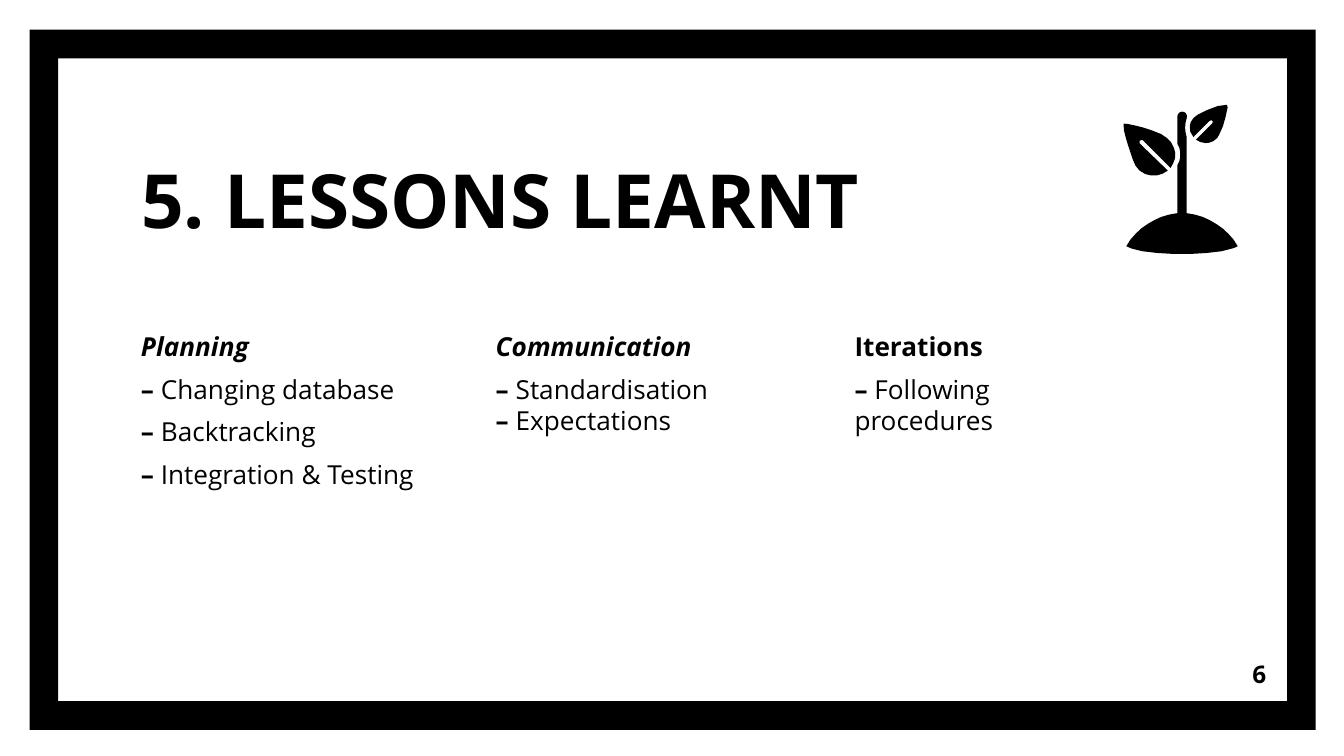
from pptx import Presentation
from pptx.dml.color import RGBColor
from pptx.enum.shapes import MSO_SHAPE
from pptx.enum.text import MSO_ANCHOR, MSO_AUTO_SIZE, PP_ALIGN
from pptx.util import Inches, Pt

FRAME = MSO_SHAPE.FRAME
TOP, MIDDLE, BOTTOM = MSO_ANCHOR.TOP, MSO_ANCHOR.MIDDLE, MSO_ANCHOR.BOTTOM
LEFT, RIGHT = PP_ALIGN.LEFT, PP_ALIGN.RIGHT
NO_AUTOFIT = MSO_AUTO_SIZE.NONE

COLORS = {"ink": "000000", "paper": "FFFFFF"}
FONT = "Open Sans"
TITLE_ONLY = 5

# Box, heading, whether it is italic, and paragraphs of dashed lines
LESSONS = [
    ((0.95, 2.36, 2.55, 1.28), "Planning", True,
     [["Changing database"], ["Backtracking"], ["Integration & Testing"]]),
    ((3.59, 2.36, 2.59, 1.04), "Communication", True,
     [["Standardisation", "Expectations"]]),
    ((6.26, 2.36, 2.19, 1.04), "Iterations", False,
     [["Following procedures"]]),
]

# Outlines of the sprout in hundredths of an inch from its top left corner
SMALL_LEAF = [
    (77, 0), (70, 1), (66, 2.5), (62, 4), (58, 6), (55, 7.5), (52, 10),
    (50, 13), (49.3, 16), (49.7, 20), (52, 24), (64, 12), (65.5, 11.5),
    (66.5, 12.5), (66, 14), (54, 26), (57, 27.7), (61, 28.5), (64, 28.2),
    (67, 27), (70, 24.5), (72, 20.5), (74, 16), (76, 9), (77.5, 2),
]
STEM_AND_MOUND = [
    (44, 5), (42, 5.5), (40.5, 7), (40, 9), (40, 29), (41.5, 32), (42.2, 35),
    (42.2, 39), (41.5, 42), (40, 45), (40, 80.7), (34, 81.7), (28, 83.5),
    (23, 85.8), (18, 88.7), (13, 92.2), (9, 96), (5, 100.5), (2, 105.3),
    (6, 107), (14, 109), (25, 110.3), (37, 111), (50, 111), (62, 110.3),
    (73, 109), (82, 106.7), (85, 105.3), (82, 100.5), (78, 96), (74, 92.2),
    (69, 88.7), (64, 85.8), (59, 83.5), (53, 81.7), (47, 80.7), (47, 24),
    (46.2, 21), (45.8, 17), (46.2, 13), (47, 10), (47.2, 8), (46.2, 6),
]
LARGE_LEAF = [
    (0, 14), (0.3, 19), (1.5, 24), (3, 29), (5, 35), (7, 41), (9, 45.5),
    (12, 49), (16, 51.5), (20, 52.5), (25, 52.5), (29, 51.3), (33, 49),
    (12, 28.7), (12, 26.7), (14, 26), (35, 47), (37, 43.5), (38.3, 40),
    (38.5, 36), (37.5, 32), (35.5, 28), (32, 24.5), (28, 21.8), (21, 19),
    (15, 17), (10, 15.7), (3, 14.2),
]


def place(shape, box):
    shape.left, shape.top, shape.width, shape.height = map(Inches, box)


def paint(shape):
    shape.shadow.inherit = False
    shape.fill.solid()
    shape.fill.fore_color.rgb = RGBColor.from_string(COLORS["ink"])
    shape.line.fill.background()


def set_frame(frame, anchor):
    frame.word_wrap = True
    frame.auto_size = NO_AUTOFIT
    frame.vertical_anchor = anchor
    frame.margin_left = frame.margin_right = Inches(0.1)
    frame.margin_top = frame.margin_bottom = Inches(0.1)


def set_paragraph(paragraph, size, bold=None, align=LEFT):
    paragraph.alignment = align
    paragraph.line_spacing = 1.0
    font = paragraph.font
    font.name, font.size, font.bold = FONT, Pt(size), bold
    font.color.rgb = RGBColor.from_string(COLORS["ink"])


def add_text_frame(slide, box, anchor):
    frame = slide.shapes.add_textbox(*map(Inches, box)).text_frame
    set_frame(frame, anchor)
    return frame


def add_border(slide, box):
    border = slide.shapes.add_shape(FRAME, *map(Inches, box))
    border.adjustments[0] = 0.041
    paint(border)


def set_title(slide, box, text):
    title = slide.shapes.title
    place(title, box)
    set_frame(title.text_frame, BOTTOM)
    title.text_frame.text = text
    set_paragraph(title.text_frame.paragraphs[0], 40, True)


def add_lesson(slide, box, heading, italic, paragraphs):
    """Adds a bold heading with dashed lines below it."""
    frame = add_text_frame(slide, box, TOP)
    head = frame.paragraphs[0]
    head.text = heading
    set_paragraph(head, 14, True)
    head.font.italic = italic
    head.space_before = Pt(6)
    for lines in paragraphs:
        paragraph = frame.add_paragraph()
        set_paragraph(paragraph, 14)
        paragraph.space_before = Pt(6)
        for index, line in enumerate(lines):
            if index:
                paragraph.add_line_break()
            dash = paragraph.add_run()
            dash.text = "–"
            dash.font.bold = True
            paragraph.add_run().text = f" {line}"


def add_page_number(slide, box, number):
    frame = add_text_frame(slide, box, MIDDLE)
    frame.text = str(number)
    set_paragraph(frame.paragraphs[0], 13, True, RIGHT)


def add_sprout(slide, left, top):
    sprout = slide.shapes.add_group_shape()
    for outline in (SMALL_LEAF, STEM_AND_MOUND, LARGE_LEAF):
        # Whole local units of a thousandth of an inch keep the curves smooth
        points = [(round(x * 10), round(y * 10)) for x, y in outline]
        builder = sprout.shapes.build_freeform(*points[0], scale=Inches(0.001))
        builder.add_line_segments(points[1:], close=True)
        paint(builder.convert_to_shape(Inches(left), Inches(top)))


def main():
    deck = Presentation()
    deck.slide_width = Inches(10)
    deck.slide_height = deck.slide_width * 9 // 16
    slide = deck.slides.add_slide(deck.slide_layouts[TITLE_ONLY])
    slide.background.fill.solid()
    slide.background.fill.fore_color.rgb = RGBColor.from_string(COLORS["paper"])

    add_border(slide, (0.22, 0.22, 9.57, 5.21))
    set_title(slide, (0.95, 1.11, 6.2, 0.8), "5. LESSONS LEARNT")
    for lesson in LESSONS:
        add_lesson(slide, *lesson)
    add_page_number(slide, (8.92, 4.8, 0.6, 0.43), 6)
    add_sprout(slide, 8.36, 0.78)
    deck.save("out.pptx")


if __name__ == "__main__":
    main()
